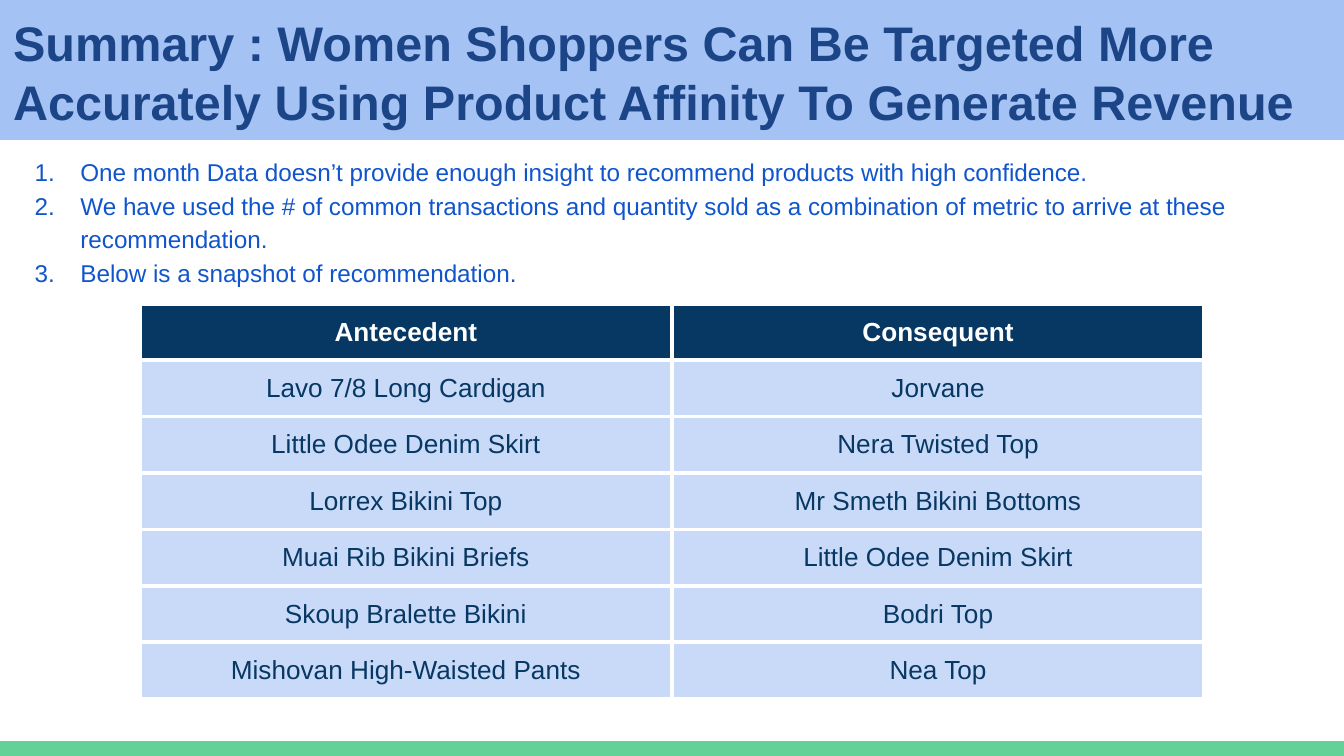
import pptx
import pptx.dml.color
import pptx.enum.shapes
import pptx.enum.text
import pptx.oxml.ns
import pptx.util
from lxml import etree

WIDTH, HEIGHT = 10, 5.625  # 16:9
INSET, CELL_INSET = 0.1, 0.09
FONT = "Arial"

TITLE = ("Summary : Women Shoppers Can Be Targeted More Accurately "
         "Using Product Affinity To Generate Revenue")
POINTS = [
    "One month Data doesn’t provide enough insight to recommend products with high confidence.",
    "We have used the # of common transactions and quantity sold as a combination "
    "of metric to arrive at these recommendation.",
    "Below is a snapshot of recommendation.",
]
RECOMMENDATIONS = [
    ("Antecedent", "Consequent"),
    ("Lavo 7/8 Long Cardigan", "Jorvane"),
    ("Little Odee Denim Skirt", "Nera Twisted Top"),
    ("Lorrex Bikini Top", "Mr Smeth Bikini Bottoms"),
    ("Muai Rib Bikini Briefs", "Little Odee Denim Skirt"),
    ("Skoup Bralette Bikini", "Bodri Top"),
    ("Mishovan High-Waisted Pants", "Nea Top"),
]
# left, top, width, height
BANDS = {
    "63D297": (0, HEIGHT - 0.11, WIDTH, 0.11),
    "A4C2F4": (0, 0, WIDTH, 1.04),
}
OUTLINED_BAND = "A4C2F4"
TITLE_BOX = (0, 0, WIDTH, 0.93)
POINTS_BOX = (0, 1.04, 9.39, 1.19)
COLUMN_WIDTH, ROW_HEIGHT, TABLE_TOP = 3.96, 0.42, 2.26

TITLE_FORMAT = {"size": 26, "color": "1C4587", "bold": True}
POINT_FORMAT = {"size": 13, "color": "1155CC", "bold": False}
HEADER_FORMAT = {"size": 14, "color": "FFFFFF", "bold": True}
BODY_FORMAT = {"size": 14, "color": "073763", "bold": False}
HEADER_FILL, BODY_FILL = "073763", "C9DAF8"


def inches(*lengths):
    return [pptx.util.Inches(length) for length in lengths]


def paint(target, color):
    """Give a fill or line format one solid colour."""
    target.solid()
    target.fore_color.rgb = pptx.dml.color.RGBColor.from_string(color)


def set_insets(holder, horizontal, vertical):
    sides = {"left": horizontal, "right": horizontal,
             "top": vertical, "bottom": vertical}
    for side, inset in sides.items():
        setattr(holder, f"margin_{side}", pptx.util.Inches(inset))


def write(paragraph, text, size, color, bold):
    run = paragraph.add_run()
    run.text = text
    values = {"name": FONT, "size": pptx.util.Pt(size), "bold": bold}
    for name, value in values.items():
        setattr(run.font, name, value)
    paint(run.font.fill, color)


def add_child(parent, tag, **attributes):
    return etree.SubElement(parent, pptx.oxml.ns.qn(tag), attributes)


def add_band(slide, color, box):
    shape = slide.shapes.add_shape(
        pptx.enum.shapes.MSO_SHAPE.RECTANGLE, *inches(*box))
    shape.shadow.inherit = False
    paint(shape.fill, color)
    if color == OUTLINED_BAND:
        paint(shape.line.fill, color)
        shape.line.width = pptx.util.Pt(0.75)
    else:
        shape.line.fill.background()


def add_text(slide, box, texts, text_format, line_spacing):
    frame = slide.shapes.add_textbox(*inches(*box)).text_frame
    frame.word_wrap = True
    frame.vertical_anchor = pptx.enum.text.MSO_ANCHOR.TOP
    set_insets(frame, INSET, INSET)
    for index, text in enumerate(texts):
        paragraph = frame.add_paragraph() if index else frame.paragraphs[0]
        paragraph.line_spacing = line_spacing
        write(paragraph, text, **text_format)
    return frame


def number(paragraph, color):
    """Turn a paragraph into a numbered list item with a hanging indent."""
    properties = paragraph._p.get_or_add_pPr()
    properties.set("marL", str(pptx.util.Inches(0.5)))
    properties.set("indent", str(pptx.util.Inches(-0.34)))
    add_child(add_child(properties, "a:buClr"), "a:srgbClr", val=color)
    add_child(properties, "a:buFont", typeface=FONT)
    add_child(properties, "a:buAutoNum", type="arabicPeriod")


def format_cell(cell, text, fill, text_format):
    set_insets(cell, INSET, CELL_INSET)
    cell.vertical_anchor = pptx.enum.text.MSO_ANCHOR.MIDDLE
    paragraph = cell.text_frame.paragraphs[0]
    paragraph.alignment = pptx.enum.text.PP_ALIGN.CENTER
    write(paragraph, text, **text_format)
    properties = cell._tc.get_or_add_tcPr()
    for tag in ("a:lnL", "a:lnR", "a:lnT", "a:lnB"):
        border = add_child(properties, tag, w=str(pptx.util.Pt(2.25)))
        add_child(add_child(border, "a:solidFill"), "a:srgbClr", val="FFFFFF")
    paint(cell.fill, fill)


def add_recommendations(slide):
    row_count, column_count = len(RECOMMENDATIONS), len(RECOMMENDATIONS[0])
    width = column_count * COLUMN_WIDTH
    table = slide.shapes.add_table(row_count, column_count, *inches(
        (WIDTH - width) / 2, TABLE_TOP, width, row_count * ROW_HEIGHT)).table
    for row_index, texts in enumerate(RECOMMENDATIONS):
        table.rows[row_index].height = pptx.util.Inches(ROW_HEIGHT)
        fill, text_format = ((BODY_FILL, BODY_FORMAT) if row_index
                             else (HEADER_FILL, HEADER_FORMAT))
        for column_index, text in enumerate(texts):
            format_cell(table.cell(row_index, column_index), text, fill, text_format)


def main():
    presentation = pptx.Presentation()
    presentation.slide_width, presentation.slide_height = inches(WIDTH, HEIGHT)
    slide = presentation.slides.add_slide(presentation.slide_layouts[6])
    for color, box in BANDS.items():
        add_band(slide, color, box)
    points = add_text(slide, POINTS_BOX, POINTS, POINT_FORMAT, 1.15)
    for paragraph in points.paragraphs:
        number(paragraph, POINT_FORMAT["color"])
    add_text(slide, TITLE_BOX, [TITLE], TITLE_FORMAT, 1.0)
    add_recommendations(slide)
    presentation.save("out.pptx")


if __name__ == "__main__":
    main()
